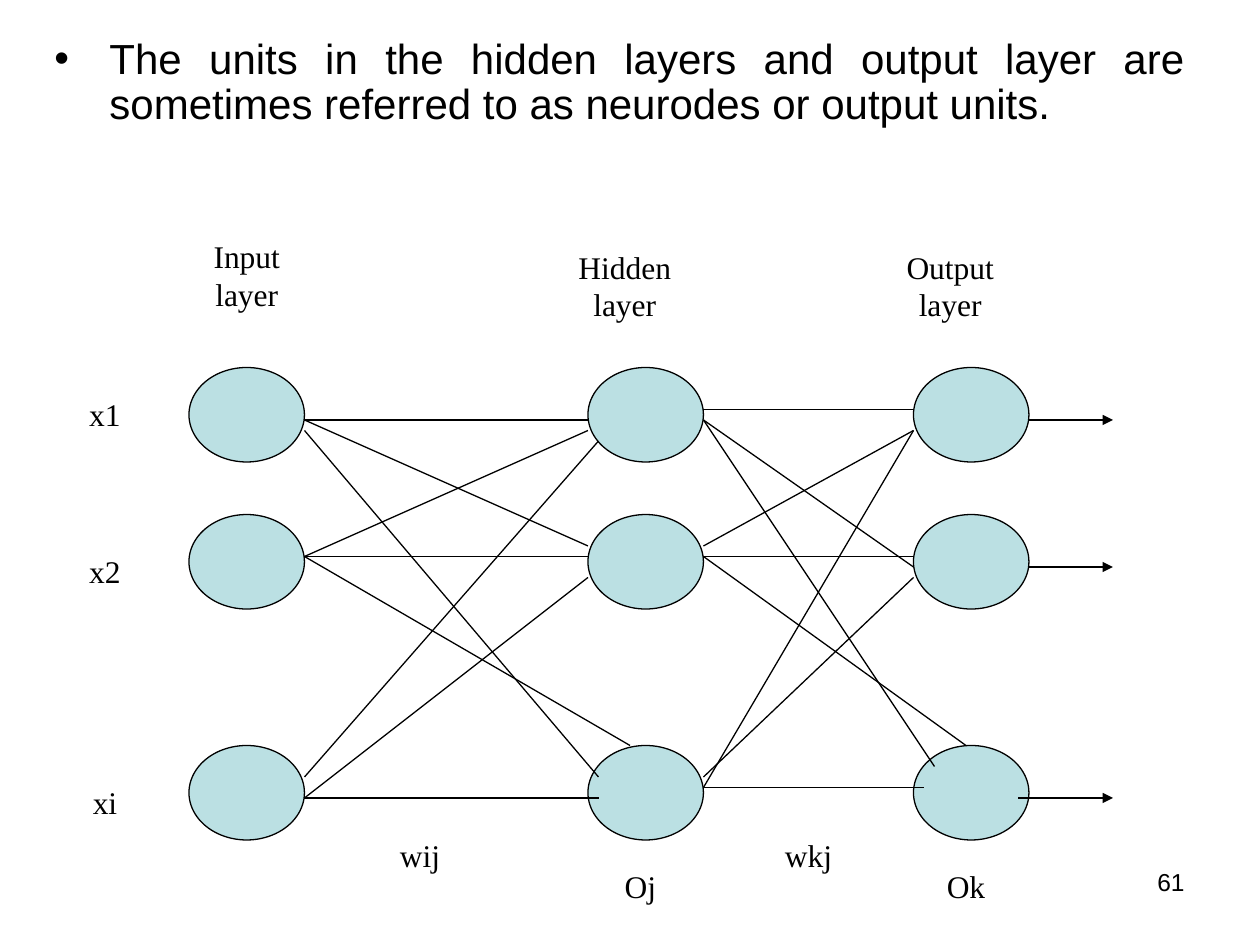
from lxml import etree
from pptx import Presentation
from pptx import util as u
from pptx.dml.color import RGBColor
from pptx.enum import shapes, text
from pptx.oxml import ns

BLACK = RGBColor(0x00, 0x00, 0x00)
TEAL = RGBColor(0xBB, 0xE0, 0xE3)
SANS, SERIF = "Arial", "Times New Roman"

# All places are in steps of a grid with 12 steps to the inch
POINT = ("The units in the hidden layers and output layer are "
         "sometimes referred to as neurodes or output units.")
PAGE = "61"
COLS, ROWS = (18, 56, 87), (35, 49, 71)  # left and top edges of the units
WIDE, HIGH = 11, 9
LINKS = [  # x1, y1, x2, y2
    # input to hidden
    (29, 40, 56, 40), (29, 40, 56, 52), (29, 41, 57, 74),
    (29, 53, 56, 41), (29, 53, 56, 53), (29, 53, 60, 71),
    (29, 76, 57, 76), (29, 76, 56, 55), (29, 74, 57, 42),
    # hidden to output
    (67, 39, 87, 39), (67, 40, 87, 54), (67, 40, 89, 73),
    (67, 53, 87, 53), (67, 52, 87, 41), (67, 53, 92, 71),
    (67, 75, 88, 75), (67, 74, 87, 55), (67, 75, 87, 41),
]
EXITS = [(98, 40, 106, 40), (98, 54, 106, 54), (97, 76, 106, 76)]
HEADS = [("Input layer", 16, 22), ("Hidden layer", 52, 23),
         ("Output layer", 83, 23)]
TAGS = [("x1", 6, 37), ("x2", 6, 52), ("xi", 6, 74), ("wij", 36, 79),
        ("wkj", 73, 79), ("Oj", 57, 82), ("Ok", 88, 82)]


def grid(*steps):
    return [u.Cm(n * 2.54 / 12) for n in steps]


def write(home, words, place, size, face, align):
    box = home.add_textbox(*grid(*place))
    frame = box.text_frame
    frame.word_wrap = True
    frame.text = words
    para = frame.paragraphs[0]
    para.alignment = align
    font = para.runs[0].font
    font.size, font.name = u.Pt(size), face
    font.color.rgb = BLACK
    return para


def link(home, ends, arrow=False):
    line = home.add_connector(shapes.MSO_CONNECTOR.STRAIGHT, *grid(*ends))
    line.line.color.rgb = BLACK
    line.line.width = u.Pt(0.75)
    if arrow:
        etree.SubElement(line.line._get_or_add_ln(), ns.qn("a:tailEnd"),
                         type="triangle")
    etree.SubElement(line._element.spPr, ns.qn("a:effectLst"))


deck = Presentation()
deck.slide_width, deck.slide_height = u.Cm(25.4), u.Cm(19.05)
slide = deck.slides.add_slide(deck.slide_layouts[6])

# Page number and bullet point
write(slide.shapes, PAGE, (86, 82, 28, 6.25), 14, SANS, text.PP_ALIGN.RIGHT)
para = write(slide.shapes, POINT, (4, 3, 110, 15), 24, SANS,
             text.PP_ALIGN.JUSTIFY)
para.line_spacing = 0.9
props = para._p.get_or_add_pPr()
props.set("marL", str(u.Cm(1.11)))
props.set("indent", str(u.Cm(-1.11)))
etree.SubElement(props, ns.qn("a:buFont"), typeface=SANS)
etree.SubElement(props, ns.qn("a:buChar"), char="•")

# Units of the network
net = slide.shapes.add_group_shape().shapes
for left in COLS:
    for top in ROWS:
        node = net.add_shape(shapes.MSO_SHAPE.OVAL,
                             *grid(left, top, WIDE, HIGH))
        node.shadow.inherit = False
        node.fill.solid()
        node.fill.fore_color.rgb = TEAL
        node.line.color.rgb = BLACK
        node.line.width = u.Pt(0.75)

# Links between layers, then the outputs
for ends in LINKS:
    link(net, ends)
for ends in EXITS:
    link(net, ends, arrow=True)

# Layer names and labels
for names, wide, high in ((HEADS, 15, 8.4), (TAGS, 8, 4.8)):
    for name, left, top in names:
        write(net, name, (left, top, wide, high), 18, SERIF,
              text.PP_ALIGN.CENTER)

deck.save("out.pptx")
